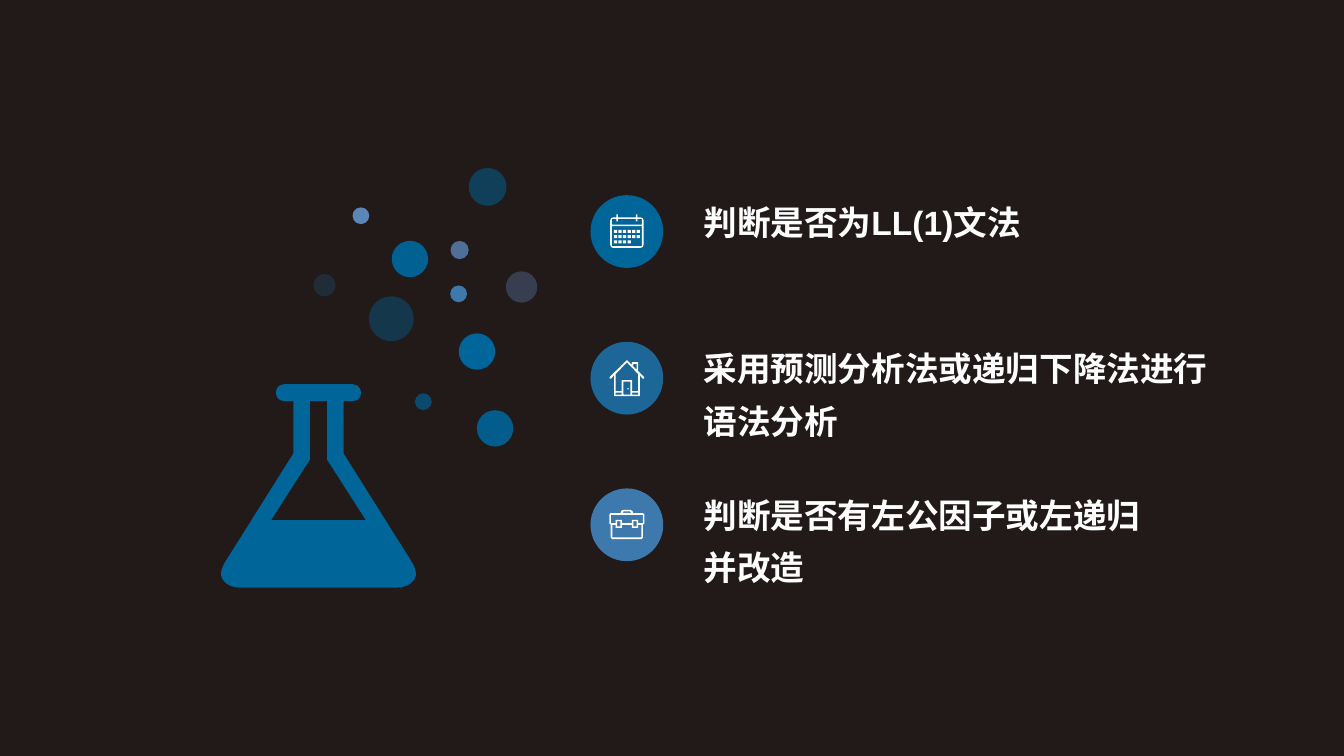
from lxml.etree import SubElement
from pptx import Presentation
from pptx.dml.color import RGBColor
from pptx.enum.shapes import MSO_SHAPE as Preset
from pptx.oxml.ns import qn
from pptx.util import Pt


def paint(shape, color, opacity=100):
    shape.shadow.inherit = False
    shape.fill.solid()
    shape.fill.fore_color.rgb = RGBColor.from_string(color)
    shape.line.fill.background()
    if opacity < 100:
        tint = shape._element.spPr.find(".//" + qn("a:srgbClr"))
        SubElement(tint, qn("a:alpha")).set("val", str(opacity * 1000))


def draw_symmetric(center_x, center_y, halves, cells, color):
    contours = [half + [(-x, y) for x, y in reversed(half)] for half in halves]
    contours += [[(l, t), (r, t), (r, b), (l, b)] for l, t, r, b in cells]
    placed = [[(Pt(center_x + x), Pt(center_y + y)) for x, y in contour]
              for contour in contours]
    builder = slide.shapes.build_freeform(*placed[0][0])
    for number, contour in enumerate(placed):
        if number:
            builder.move_to(*contour[0])
        builder.add_line_segments(contour[1:], close=True)
    paint(builder.convert_to_shape(), color)


deck = Presentation()
deck.slide_width, deck.slide_height = Pt(960), Pt(540)
slide = deck.slides.add_slide(deck.slide_layouts[6])
slide.background.fill.solid()
slide.background.fill.fore_color.rgb = RGBColor.from_string("221919")

bubbles = [
    (223.9, 195.8, 15.8, "1C6698", 25),
    (263.5, 211.7, 32, "006599", 40),
    (251.8, 148.1, 12, "5C85B8", 100),
    (279.8, 172, 26, "006599", 95),
    (321.6, 203.9, 12, "3D79AD", 100),
    (321.8, 172.1, 13, "5C85B8", 80),
    (334.8, 120, 27, "006599", 50),
    (361.4, 193.8, 22.4, "5C85B8", 35),
    (327.7, 238.1, 26, "006599", 100),
    (296.4, 280.9, 12, "006599", 65),
    (340.6, 293, 26, "006599", 90),
]
for left, top, size, color, opacity in bubbles:
    bubble = slide.shapes.add_shape(Preset.OVAL, Pt(left), Pt(top), Pt(size), Pt(size))
    paint(bubble, color, opacity)

flask_outline = [
    (24.4, 274.4), (27.5, 275.2), (29.7, 277.4), (30.5, 280.5), (29.7, 283.6),
    (27.5, 285.8), (24.4, 286.6), (18, 286.6), (18, 324), (65.5, 399.6),
    (67.9, 403.6), (69.4, 407.6), (69.6, 411), (68.4, 414), (66, 416.7),
    (62.9, 418.5), (59.2, 419.5), (54.7, 419.8),
]
flask_hollow = [(6.1, 286.6), (6.1, 328.3), (8, 331.2), (33.8, 371.5)]
draw_symmetric(227.5, 0, [flask_outline, flask_hollow], [], "006599")

calendar_halves = [
    [(9.6, -10.2), (11.3, -9.6), (11.9, -8), (11.9, 9.5), (11.3, 11.1), (9.6, 11.7)],
    [(10.7, -9), (10.7, -5)],
    [(10.7, -3.9), (10.7, 10.5)],
]
calendar_cells = [(x, top, x + 1.1, bottom) for x in (-7.5, 6.4)
                  for top, bottom in ((-12.2, -10.2), (-9, -7.2))]
for week, days in enumerate((6, 6, 4)):
    for day in range(days):
        left, top = -9.35 + 3.28 * day, -1.2 + 3.7 * week
        calendar_cells.append((left, top, left + 2.3, top + 2.2))

house_halves = [
    [(0, -12.9), (12.2, -1), (12.4, 0), (11.4, 0.4), (9.2, -2), (9.2, 12.8)],
    [(0, -11.3), (8, -3), (8, 9.2), (3.8, 9.2), (3.8, 1.4)],
]
house_cells = [
    (3.6, -11.5, 4.7, -9.2), (4.7, -11.5, 6.9, -10.3), (6.9, -11.5, 8, -5.8),
    (-2.5, 2.5, 2.5, 11.7), (-8, 10.3, -3.8, 11.7), (3.8, 10.3, 8, 11.7),
    (0.4, 7, 1.2, 7.9),
]

briefcase_halves = [
    [(2.4, -10.8), (4, -10), (4.5, -8.4), (11.6, -8.4), (12.5, -7.4),
     (12.5, -1), (11.5, -0.1), (11.5, 9.2), (10.6, 10.1)],
    [(2.3, -9.6), (3.3, -8.5)],
    [(11.4, -7.2), (11.4, -1.2), (8, -1.2), (8, -3.6), (3.6, -3.6), (3.6, -1.2)],
    [(3.6, 0), (3.6, 2.2), (8, 2.2), (8, 0), (10.4, 0), (10.4, 9)],
]
briefcase_cells = [(left, -2.6, left + 2.3, 1) for left in (-6.9, 4.6)]

steps = [
    ("判断是否为LL(1)文法", 306.7, "006599", calendar_halves, calendar_cells),
    ("采用预测分析法或递归下降法进行语法分析", 381.6, "1C6698", house_halves, house_cells),
    ("判断是否有左公因子或左递归并改造", 350, "3D79AD", briefcase_halves, briefcase_cells),
]
for row, (wording, width, color, halves, cells) in enumerate(steps):
    center_x, center_y = 447.8, 165.4 + 104.75 * row
    box = slide.shapes.add_textbox(Pt(495.4), Pt(center_y - 33.6), Pt(width), Pt(34.6))
    box.text_frame.word_wrap = True
    para = box.text_frame.paragraphs[0]
    para.text = wording
    para.line_spacing = 1.3
    span = para.runs[0]
    span.font.name = "Arial"
    span.font.size = Pt(24)
    span.font.bold = True
    span.font.color.rgb = RGBColor.from_string("FFFFFF")
    badge = slide.shapes.add_shape(
        Preset.OVAL, Pt(center_x - 26), Pt(center_y - 26), Pt(52), Pt(52))
    paint(badge, color)
    draw_symmetric(center_x, center_y, halves, cells, "FFFFFF")

deck.save("out.pptx")
